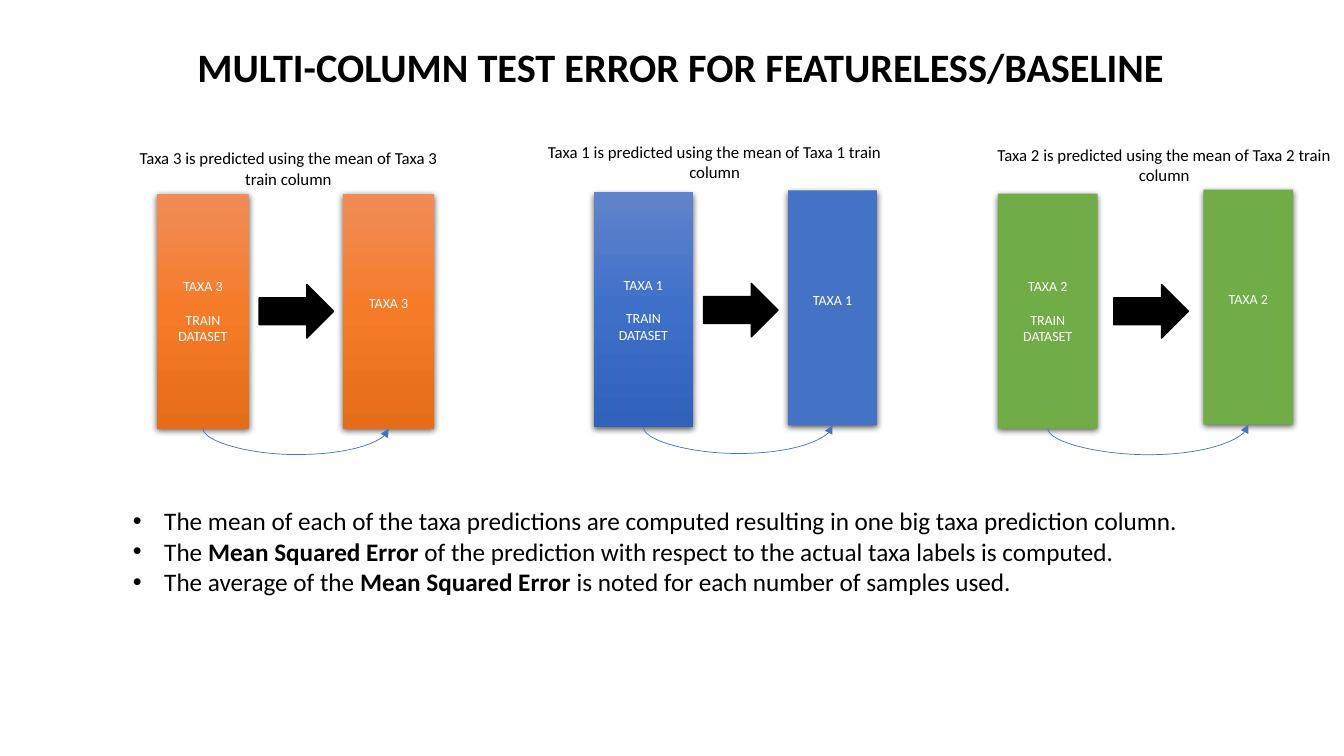
from copy import deepcopy

from lxml import etree
from pptx import Presentation
from pptx import util as u
from pptx.dml.color import RGBColor
from pptx.enum import shapes, text
from pptx.oxml import ns

BLACK, WHITE, BLUE, GREEN = "000000", "FFFFFF", "4472C4", "70AD47"
ORANGE_FADE = ["F18C57", "F67B28", "E56C19"]
BLUE_FADE = ["6183CB", "3E70CA", "3062BB"]
COLUMN_HEIGHT = 5.92
ARROW_DROP = 2.29
LOOP_DEPTH = 0.66

TAXA = [
    dict(name="TAXA 3", train=(3.96, 4.88, 2.31), test=(8.64, 4.88, 2.31), arrow_left=6.53,
         caption=(2.9, 3.61, 8.74, 1.27), train_fill=ORANGE_FADE, test_fill=ORANGE_FADE,
         dataset=["TRAIN", "DATASET"]),
    dict(name="TAXA 1", train=(14.96, 4.85, 2.51), test=(19.86, 4.8, 2.24), arrow_left=17.73,
         caption=(13.49, 3.45, 9.04, 1.27), train_fill=BLUE_FADE, test_fill=[BLUE],
         dataset=["TRAIN DATASET"]),
    dict(name="TAXA 2", train=(25.15, 4.88, 2.51), test=(30.33, 4.78, 2.26), arrow_left=28.07,
         caption=(24.82, 3.51, 9.04, 1.27), train_fill=[GREEN], test_fill=[GREEN],
         dataset=["TRAIN", "DATASET"]),
]

FINDINGS = [
    [("The mean of each of the taxa predictions are computed resulting in one big taxa "
      "prediction column.", False)],
    [("The ", False), ("Mean Squared Error", True),
     (" of the prediction with respect to the actual taxa labels is computed.", False)],
    [("The average of the ", False), ("Mean Squared Error", True),
     (" is noted for each number of samples used.", False)],
]


def color(hex_value):
    return RGBColor.from_string(hex_value)


def box(left, top, width, height):
    return [u.Cm(length) for length in (left, top, width, height)]


def add_run(paragraph, words, size, hex_value=BLACK, bold=False):
    run = paragraph.add_run()
    run.text = words
    run.font.name = "Calibri"
    run.font.size = u.Pt(size)
    run.font.bold = bold
    run.font.color.rgb = color(hex_value)


def add_paragraphs(frame, lines, size, hex_value=BLACK, align=text.PP_ALIGN.CENTER):
    frame.word_wrap = True
    for index, runs in enumerate(lines):
        paragraph = frame.add_paragraph() if index else frame.paragraphs[0]
        paragraph.alignment = align
        for words, bold in runs:
            add_run(paragraph, words, size, hex_value, bold)
    return frame.paragraphs


def set_title(slide, words):
    title = slide.shapes.title
    title.left, title.top, title.width, title.height = box(1.45, 0.64, 31.42, 2.24)
    title.text_frame.vertical_anchor = text.MSO_ANCHOR.MIDDLE
    heading = add_paragraphs(title.text_frame, [[(words, True)]], 28.8)[0]
    heading.line_spacing = 0.9


def paint(shape, colors):
    if len(colors) == 1:
        shape.fill.solid()
        shape.fill.fore_color.rgb = color(colors[0])
        return
    shape.fill.gradient()
    shape.fill.gradient_angle = 270
    stop_list = shape._element.spPr.find(".//" + ns.qn("a:gsLst"))
    stop_list.append(deepcopy(stop_list[-1]))
    for index, (stop, hex_value) in enumerate(zip(shape.fill.gradient_stops, colors)):
        stop.position = index / 2
        stop.color.rgb = color(hex_value)


def cast_shadow(shape):
    shape.shadow.inherit = False
    effects = shape._element.spPr.find(ns.qn("a:effectLst"))
    outer = etree.SubElement(effects, ns.qn("a:outerShdw"), blurRad=str(u.Pt(4.5)),
                             dist=str(u.Pt(1.5)), dir="5400000", algn="ctr", rotWithShape="0")
    tint = etree.SubElement(outer, ns.qn("a:srgbClr"), val=BLACK)
    etree.SubElement(tint, ns.qn("a:alpha"), val="63000")


def add_column(slide, place, colors, labels):
    left, top, width = place
    column = slide.shapes.add_shape(shapes.MSO_SHAPE.RECTANGLE,
                                    *box(left, top, width, COLUMN_HEIGHT))
    paint(column, colors)
    column.line.fill.background()
    cast_shadow(column)
    frame = column.text_frame
    frame.vertical_anchor = text.MSO_ANCHOR.MIDDLE
    lines = add_paragraphs(frame, [[(label, False)] for label in labels], 10, WHITE)
    if len(lines) > 1:
        lines[1].space_before = u.Pt(12)
    else:
        frame.margin_bottom = u.Cm(0.55)
    return column


def add_arrow(slide, left, top):
    arrow = slide.shapes.add_shape(shapes.MSO_SHAPE.RIGHT_ARROW, *box(left, top, 1.88, 1.35))
    arrow.shadow.inherit = False
    paint(arrow, [BLACK])
    arrow.line.color.rgb = color(BLACK)
    arrow.line.width = u.Pt(1)


def add_loop(slide, train, test):
    start_x, start_y = train.left + train.width // 2, train.top + train.height
    end_x, end_y = test.left + test.width // 2, test.top + test.height
    loop = slide.shapes.add_connector(shapes.MSO_CONNECTOR.CURVE, start_x, start_y, end_x, end_y)
    loop.begin_connect(train, 2)
    loop.end_connect(test, 2)
    rise, span = max(abs(end_y - start_y), u.Cm(0.01)), end_x - start_x
    loop.left, loop.top = (start_x + end_x - rise) // 2, (start_y + end_y - span) // 2
    loop.width, loop.height = rise, span
    upward = end_y < start_y
    properties = loop._element.spPr
    frame = properties.find(ns.qn("a:xfrm"))
    frame.set("rot", "5400000")
    frame.set("flipH", str(int(upward)))
    frame.set("flipV", "1")
    bend = round(u.Cm(LOOP_DEPTH) / rise * 100000) * (-1 if upward else 1)
    guides = properties.find(".//" + ns.qn("a:avLst"))
    etree.SubElement(guides, ns.qn("a:gd"), name="adj1", fmla=f"val {bend}")
    loop.line.color.rgb = color(BLUE)
    loop.line.width = u.Pt(0.5)
    etree.SubElement(properties.find(ns.qn("a:ln")), ns.qn("a:tailEnd"), type="triangle")
    etree.SubElement(properties, ns.qn("a:effectLst"))


def add_caption(slide, place, words):
    caption = slide.shapes.add_textbox(*box(*place))
    add_paragraphs(caption.text_frame, [[(words, False)]], 12)


def add_findings(slide):
    findings = slide.shapes.add_textbox(*box(3.1, 12.62, 27.41, 5.64))
    for line in add_paragraphs(findings.text_frame, FINDINGS, 18, align=text.PP_ALIGN.LEFT):
        properties = line._p.get_or_add_pPr()
        properties.set("marL", str(u.Cm(0.79)))
        properties.set("indent", str(-u.Cm(0.79)))
        etree.SubElement(properties, ns.qn("a:buFont"), typeface="Arial")
        etree.SubElement(properties, ns.qn("a:buChar"), char="•")


def add_taxon(slide, taxon):
    name = taxon["name"]
    train = add_column(slide, taxon["train"], taxon["train_fill"], [name, *taxon["dataset"]])
    test = add_column(slide, taxon["test"], taxon["test_fill"], [name])
    add_arrow(slide, taxon["arrow_left"], taxon["train"][1] + ARROW_DROP)
    add_loop(slide, train, test)
    label = name.capitalize()
    add_caption(slide, taxon["caption"],
                f"{label} is predicted using the mean of {label} train column")


def main():
    deck = Presentation()
    deck.slide_width, deck.slide_height = u.Cm(33.87), u.Cm(19.05)
    slide = deck.slides.add_slide(deck.slide_layouts[5])
    set_title(slide, "MULTI-COLUMN TEST ERROR FOR FEATURELESS/BASELINE")
    for taxon in TAXA:
        add_taxon(slide, taxon)
    add_findings(slide)
    deck.save("out.pptx")


if __name__ == "__main__":
    main()
